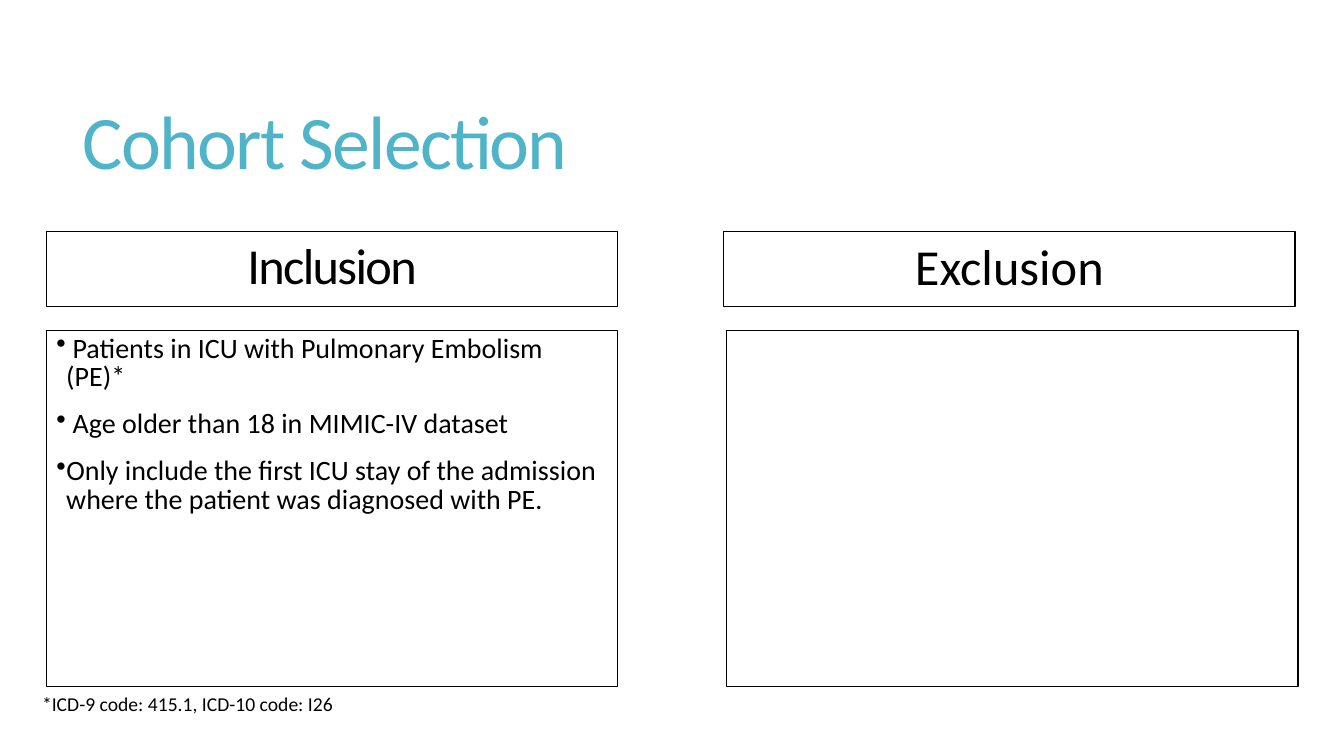
import pptx
import pptx.dml.color
import pptx.enum.shapes
import pptx.enum.text
import pptx.oxml.ns
import pptx.util
from lxml import etree

Cm = pptx.util.Cm
Pt = pptx.util.Pt
ALIGN = pptx.enum.text.PP_ALIGN
ANCHOR = pptx.enum.text.MSO_ANCHOR

TEAL = pptx.dml.color.RGBColor(0x50, 0xB4, 0xC8)
BLACK = pptx.dml.color.RGBColor(0, 0, 0)
WHITE = pptx.dml.color.RGBColor(255, 255, 255)

FONT = "Calibri"
PANEL_WIDTH = 14.4
HEADING_TOP, HEADING_HEIGHT = 5.84, 1.88
CRITERIA_TOP, CRITERIA_HEIGHT = 8.33, 8.97
INCLUSION_LEFT = 1.17
EXCLUSION_HEADING_LEFT, EXCLUSION_LEFT = 18.24, 18.31

INCLUSION_CRITERIA = [
    " Patients in ICU with Pulmonary Embolism (PE)*",
    " Age older than 18 in MIMIC-IV dataset",
    "Only include the first ICU stay of the admission where the patient was diagnosed with PE.",
]


def add_bullet(paragraph):
    properties = paragraph._p.get_or_add_pPr()
    properties.set("marL", str(Cm(0.25)))
    properties.set("indent", str(-Cm(0.25)))
    bullet = etree.SubElement(properties, pptx.oxml.ns.qn("a:buChar"))
    bullet.set("char", "\u2022")


def write(shape, lines, size, color=BLACK, align=ALIGN.LEFT, anchor=ANCHOR.TOP,
          line_spacing=None, space_before=0, tracking=None, bullets=False):
    frame = shape.text_frame
    frame.word_wrap = True
    frame.vertical_anchor = anchor
    for index, line in enumerate(lines):
        paragraph = frame.add_paragraph() if index else frame.paragraphs[0]
        paragraph.alignment = align
        paragraph.space_before = Pt(space_before)
        if line_spacing:
            paragraph.line_spacing = line_spacing
        if bullets:
            add_bullet(paragraph)
        run = paragraph.add_run()
        run.text = line
        run.font.name = FONT
        run.font.size = Pt(size)
        run.font.color.rgb = color
        if tracking:
            run._r.get_or_add_rPr().set("spc", str(round(tracking * 100)))


def add_panel(slide, left, top, height):
    panel = slide.shapes.add_shape(
        pptx.enum.shapes.MSO_SHAPE.RECTANGLE,
        Cm(left), Cm(top), Cm(PANEL_WIDTH), Cm(height))
    panel.shadow.inherit = False
    panel.fill.solid()
    panel.fill.fore_color.rgb = WHITE
    panel.line.color.rgb = BLACK
    panel.line.width = Pt(1)
    return panel


def add_heading(slide, text, left, **text_format):
    heading = add_panel(slide, left, HEADING_TOP, HEADING_HEIGHT)
    write(heading, [text], 36, align=ALIGN.CENTER, anchor=ANCHOR.MIDDLE, **text_format)


def add_label(slide, text, left, top, width, height, **text_format):
    label = slide.shapes.add_textbox(Cm(left), Cm(top), Cm(width), Cm(height))
    write(label, [text], **text_format)


def main():
    deck = pptx.Presentation()
    deck.slide_width = Cm(33.87)
    deck.slide_height = Cm(19.05)
    slide = deck.slides.add_slide(deck.slide_layouts[6])

    add_label(slide, "Cohort Selection", 1.83, 1.4, 29.92, 4.6, size=54, color=TEAL,
              anchor=ANCHOR.MIDDLE, line_spacing=0.85, tracking=-1.2)

    add_heading(slide, "Inclusion", INCLUSION_LEFT, line_spacing=0.85, tracking=-1.2)
    inclusion = add_panel(slide, INCLUSION_LEFT, CRITERIA_TOP, CRITERIA_HEIGHT)
    write(inclusion, INCLUSION_CRITERIA, 20, line_spacing=0.85, space_before=13, bullets=True)

    add_panel(slide, EXCLUSION_LEFT, CRITERIA_TOP, CRITERIA_HEIGHT)
    add_heading(slide, "Exclusion", EXCLUSION_HEADING_LEFT, line_spacing=0.9)

    add_label(slide, "*ICD-9 code: 415.1, ICD-10 code: I26", 0.81, 17.3, 12.83, 0.86, size=14)

    deck.save("out.pptx")


main()
